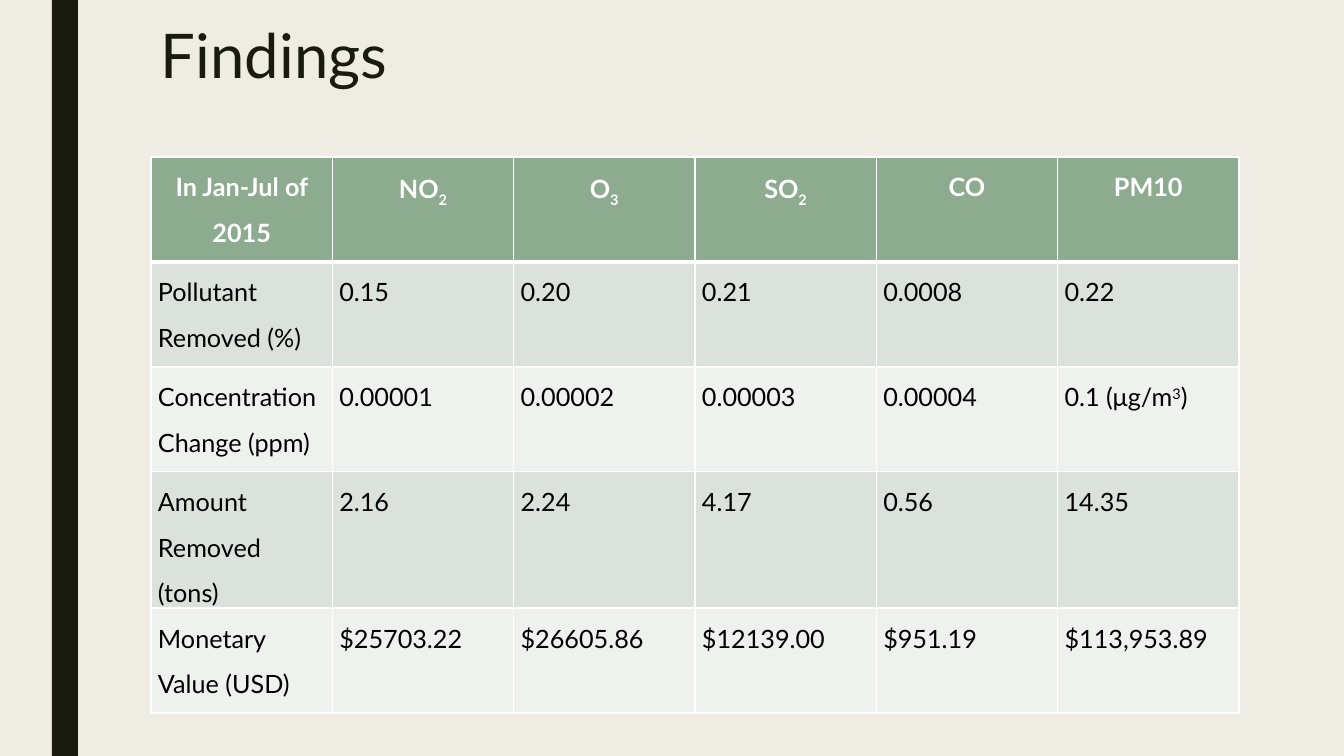
from dataclasses import dataclass

from lxml.etree import SubElement
from pptx import Presentation
from pptx.dml.color import RGBColor
from pptx.enum.shapes import MSO_SHAPE
from pptx.enum.text import MSO_ANCHOR, PP_ALIGN
from pptx.oxml.ns import qn
from pptx.util import Emu, Pt

EMU_PER_PX = 914400 / 100.8


@dataclass(frozen=True)
class Theme:
    font: str = "Lato"
    background: str = "EFEDE3"
    dark: str = "191B0E"
    header: str = "8DAB8E"
    bands: tuple = ("DBE2DB", "EEF1EE")
    white: str = "FFFFFF"
    body: str = "000000"
    title_size: int = 44
    table_size: int = 18
    border: int = 1
    header_rule: int = 3


THEME = Theme()

# A tuple in a cell holds (text, baseline shift in percent) runs
FINDINGS = [
    ["In Jan-Jul of 2015", [("NO", 0), ("2", -25)], [("O", 0), ("3", -25)],
     [("SO", 0), ("2", -25)], "CO", "PM10"],
    ["Pollutant Removed (%)", "0.15", "0.20", "0.21", "0.0008", "0.22"],
    ["Concentration Change (ppm)", "0.00001", "0.00002", "0.00003", "0.00004",
     [("0.1 (μg/m", 0), ("3", 30), (")", 0)]],
    ["Amount Removed (tons)", "2.16", "2.24", "4.17", "0.56", "14.35"],
    ["Monetary Value (USD)", "$25703.22", "$26605.86", "$12139.00", "$951.19",
     "$113,953.89"],
]
ROW_HEIGHTS = [105, 105, 105, 136, 105]


def px(n):
    return Emu(round(n * EMU_PER_PX))


def rgb(color):
    return RGBColor.from_string(color)


def write_text(tf, text, size, color, bold=False, align=PP_ALIGN.LEFT, spacing=1.0):
    tf.word_wrap = True
    p = tf.paragraphs[0]
    p.alignment = align
    p.line_spacing = spacing
    for part, shift in [(text, 0)] if isinstance(text, str) else text:
        r = p.add_run()
        r.text = part
        r.font.name = THEME.font
        r.font.size = Pt(size)
        r.font.bold = bold
        r.font.color.rgb = rgb(color)
        if shift:
            r._r.get_or_add_rPr().set("baseline", str(shift * 1000))


def set_borders(cell, top, bottom):
    tcPr = cell._tc.get_or_add_tcPr()
    widths = {"lnL": THEME.border, "lnR": THEME.border, "lnT": top, "lnB": bottom}
    for side, width in widths.items():
        ln = SubElement(tcPr, qn(f"a:{side}"), w=str(Pt(width)))
        fill = SubElement(ln, qn("a:solidFill"))
        SubElement(fill, qn("a:srgbClr"), val=THEME.white)


def add_side_bar(slide, x, y, w, h):
    sp = slide.shapes.add_shape(MSO_SHAPE.RECTANGLE, px(x), px(y), px(w), px(h))
    sp.shadow.inherit = False
    sp.fill.solid()
    sp.fill.fore_color.rgb = rgb(THEME.dark)
    sp.line.fill.background()


def add_title(slide, text, x, y, w, h):
    tf = slide.shapes.add_textbox(px(x), px(y), px(w), px(h)).text_frame
    tf.vertical_anchor = MSO_ANCHOR.TOP
    write_text(tf, text, THEME.title_size, THEME.dark, spacing=0.89)


def add_findings_table(slide, rows, heights, x, y, w):
    n_cols = len(rows[0])
    table = slide.shapes.add_table(
        len(rows), n_cols, px(x), px(y), px(w), px(sum(heights))).table
    for col in table.columns:
        col.width = px(w / n_cols)
    for i, (values, height) in enumerate(zip(rows, heights)):
        is_header = i == 0
        table.rows[i].height = px(height)
        for cell, value in zip(table.rows[i].cells, values):
            # Rules and band colour
            set_borders(cell,
                        top=THEME.header_rule if i == 1 else THEME.border,
                        bottom=THEME.header_rule if is_header else THEME.border)
            cell.fill.solid()
            cell.fill.fore_color.rgb = rgb(
                THEME.header if is_header else THEME.bands[(i - 1) % 2])
            # Cell text
            cell.margin_left = cell.margin_right = px(7)
            cell.margin_top = cell.margin_bottom = 0
            write_text(cell.text_frame, value, THEME.table_size,
                       THEME.white if is_header else THEME.body,
                       bold=is_header, spacing=1.5,
                       align=PP_ALIGN.CENTER if is_header else PP_ALIGN.JUSTIFY)


def build_findings_slide(prs, w, h):
    slide = prs.slides.add_slide(prs.slide_layouts[6])
    slide.background.fill.solid()
    slide.background.fill.fore_color.rgb = rgb(THEME.background)
    add_side_bar(slide, 52, 0, 26, h)
    add_title(slide, "Findings", 151, 21, 1058, 98)
    add_findings_table(slide, FINDINGS, ROW_HEIGHTS, 151, 157, w - 256)


def main():
    width, height = 1344, 756
    prs = Presentation()
    prs.slide_width, prs.slide_height = px(width), px(height)
    build_findings_slide(prs, width, height)
    prs.save("out.pptx")


if __name__ == "__main__":
    main()
